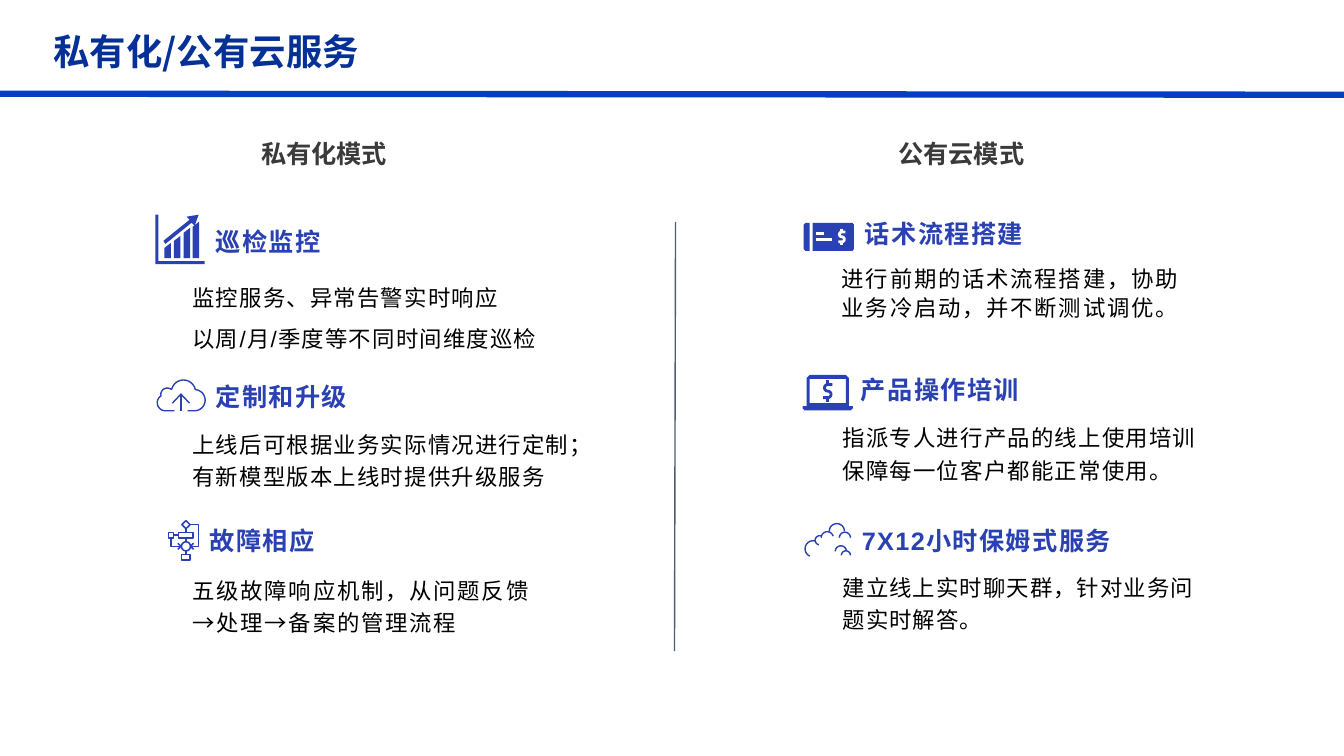
"""Build the slide comparing private deployment with public cloud service."""
import math

from lxml import etree
from pptx import Presentation
from pptx.dml.color import RGBColor
from pptx.enum import shapes, text
from pptx.oxml import ns
from pptx.util import Inches, Pt

NAVY = RGBColor(0x05, 0x31, 0x96)
RULE = RGBColor(0x04, 0x3F, 0xC1)
SLATE = RGBColor(0x4C, 0x5D, 0x78)
GRAY = RGBColor(0x3A, 0x3A, 0x3A)
BLUE = RGBColor(0x29, 0x41, 0xB3)
BLACK = RGBColor(0, 0, 0)
WHITE = RGBColor(0xFF, 0xFF, 0xFF)
CJK = "Noto Sans CJK SC"

prs = Presentation()
prs.slide_width, prs.slide_height = Inches(13.33), Inches(7.5)
s = prs.slides.add_slide(prs.slide_layouts[6])


def add_text(content, x, y, w, h, size=16, color=BLACK, font="Arial", bold=False,
             tracking=0, spacing=1, align=text.PP_ALIGN.LEFT, wrap=True):
    """Add a text box with one paragraph per line of content."""
    tf = s.shapes.add_textbox(Inches(x), Inches(y), Inches(w), Inches(h)).text_frame
    tf.word_wrap = wrap
    tf.text = content
    for p in tf.paragraphs:
        p.line_spacing = spacing
        p.alignment = align
        r = p.runs[0]
        r.font.size, r.font.bold, r.font.name = Pt(size), bold, font
        r.font.color.rgb = color
        rpr = r.font._element
        rpr.set("spc", str(round(tracking * 100)))
        etree.SubElement(rpr, ns.qn("a:ea")).set("typeface", CJK)


def add_icon(x, y, contours, unit=0.01, color=BLUE, width=None):
    """Draw contours of points and (cx, cy, radius, start, end) arcs, filled unless width is set."""
    builder = None
    for contour in contours:
        points = []
        for item in contour:
            if len(item) == 2:
                points.append(item)
                continue
            cx, cy, radius, start, end = item
            for i in range(17):
                a = math.radians(start + (end - start) * i / 16)
                points.append((cx + radius * math.cos(a), cy + radius * math.sin(a)))
        points = [(Inches(x + px * unit), Inches(y + py * unit)) for px, py in points]
        if builder is None:
            builder = s.shapes.build_freeform(*points[0])
        else:
            builder.move_to(*points[0])
        builder.add_line_segments(points[1:], close=width is None)
    sp = builder.convert_to_shape()
    sp.shadow.inherit = False
    if width is None:
        sp.fill.solid()
        sp.fill.fore_color.rgb = color
        sp.line.fill.background()
    else:
        sp.fill.background()
        sp.line.color.rgb = color
        sp.line.width = Pt(width)


for x1, y1, x2, y2, color, width in [
    (0, 0.93, 13.33, 0.94, RULE, 4.5),
    (6.7, 2.2, 6.69, 6.46, SLATE, 1),
]:
    line = s.shapes.add_connector(shapes.MSO_CONNECTOR.STRAIGHT, Inches(x1), Inches(y1),
                                  Inches(x2), Inches(y2))
    line.line.color.rgb = color
    line.line.width = Pt(width)
    etree.SubElement(line._element.spPr, ns.qn("a:effectLst"))

add_text("私有化/公有云服务", 0.43, 0.24, 3.54, 0.54, size=26, color=NAVY, font=CJK,
         bold=True, wrap=False)
for mode, x in [("私有化模式", 2.49), ("公有云模式", 8.81)]:
    add_text(mode, x, 1.32, 1.45, 0.4, size=18, color=GRAY, font=CJK, bold=True,
             align=text.PP_ALIGN.CENTER, wrap=False)

for heading, x, y in [
    ("巡检监控", 2.04, 2.2), ("定制和升级", 2.04, 3.73), ("故障相应", 1.98, 5.16),
    ("话术流程搭建", 8.48, 2.12), ("产品操作培训", 8.44, 3.66), ("7X12小时保姆式服务", 8.45, 5.16),
]:
    add_text(heading, x, y, 3.7, 0.43, size=18, color=BLUE, bold=True, tracking=1)

for body, x, y, w, spacing, tracking in [
    ("监控服务、异常告警实时响应\n以周/月/季度等不同时间维度巡检", 1.81, 2.64, 4.6, 1.5, 0.9),
    ("上线后可根据业务实际情况进行定制；有新模型版本上线时提供升级服务", 1.81, 4.17, 3.96, 1.2, 0.9),
    ("五级故障响应机制，从问题反馈→处理→备案的管理流程", 1.81, 5.62, 3.76, 1.2, 1.3),
    ("进行前期的话术流程搭建，协助业务冷启动，并不断测试调优。", 8.25, 2.55, 3.68, 1.1, 1.3),
    ("指派专人进行产品的线上使用培训保障每一位客户都能正常使用。", 8.26, 4.11, 3.76, 1.2, 0.9),
    ("建立线上实时聊天群，针对业务问题实时解答。", 8.26, 5.59, 3.76, 1.2, 0.8),
]:
    add_text(body, x, y, w, 1.01, spacing=spacing, tracking=tracking)

bars = [[(x, top), (x + 6.5, top - 5), (x + 6.5, 43), (x, 43)]
        for x, top in [(9, 33), (18.5, 26), (28, 18), (37, 12)]]
axes = [(0, 0), (3, 0), (3, 46), (49, 46), (49, 49), (0, 49)]
trend = [(43, 0), (31, 2), (34, 5), (8, 26), (10, 29), (36, 8), (39, 11)]
add_icon(1.54, 2.13, [axes, trend] + bars)

cloud = [(18, 31.5), (9, 23.5, 8, 90, 238), (11, 15.5, 6.5, 171, 306),
         (27, 13, 12, 195, 348), (38, 21, 10.5, 278, 450), (31, 31.5)]
upload = [[(24.5, 31.5), (24.5, 15)], [(16, 24), (24.5, 15), (33, 24)]]
add_icon(1.55, 3.76, [cloud] + upload, width=1)

boxes = [[(x1, y1), (x2, y1), (x2, y2), (x1, y2), (x1, y1)]
         for x1, y1, x2, y2 in [(1, 12.5, 6, 18), (11, 12.5, 25.5, 18), (14, 34, 22.5, 39.5)]]
nodes = [[(18.5, 0.5), (22.5, 4.5), (18.5, 8.5), (14.5, 4.5), (18.5, 0.5)],
         [(18.5, 26, 4.5, 0, 360)]]
links = [[(18.5, 8.5), (18.5, 12.5)], [(6, 15), (11, 15)], [(18.5, 18), (18.5, 21.5)],
         [(18.5, 30.5), (18.5, 34)], [(22.5, 4.5), (31, 4.5), (31, 26), (23, 26)],
         [(3.5, 18), (3.5, 26), (14, 26)], [(10.5, 23), (13.5, 26), (10.5, 29)],
         [(26, 23), (23, 26), (26, 29)]]
add_icon(1.66, 5.16, boxes + nodes + links, width=1.1)

add_icon(7.97, 2.21, [
    [(2, 0), (6, 0), (6, 28), (2, 28), (0, 26), (0, 2)],
    [(9, 0), (48.5, 0), (50, 2), (50, 26), (48.5, 28), (9, 28)],
])
add_icon(7.97, 2.21, [[(12, 11), (20, 11)], [(12, 16.5), (28, 16.5)]], color=WHITE, width=2)

add_icon(7.96, 3.72, [
    [(7, 0), (43, 0), (46, 3), (46, 31), (50, 31), (50, 33), (48, 35), (2, 35), (0, 33),
     (0, 31), (4, 31), (4, 3)],
    [(7, 4), (43, 4), (43, 28), (7, 28)],
])
dollar = [[(4.5, -6.5), (0, -3.25, 3.25, 270, 90), (0, 3.25, 3.25, 270, 450), (-4.5, 6.5)],
          [(0, -11), (0, -6)], [(0, 6), (0, 11)]]
for x, y, unit, color in [(8.21, 3.88, 0.01, BLUE), (8.35, 2.35, 0.01 * 0.75, WHITE)]:
    add_icon(x, y, dollar, unit=unit, color=color, width=2)

add_icon(7.98, 5.19, [[puff] for puff in [
    (8.5, 25.5, 8, 115, 290), (15, 17, 4.5, 100, 300), (22.5, 14.5, 6, 180, 345),
    (32, 8, 7.5, 180, 360), (40, 14.5, 5.5, 180, 360), (36, 28, 5.5, 180, 350),
    (41, 32, 4.5, 180, 360),
]], width=1)

prs.save("out.pptx")
